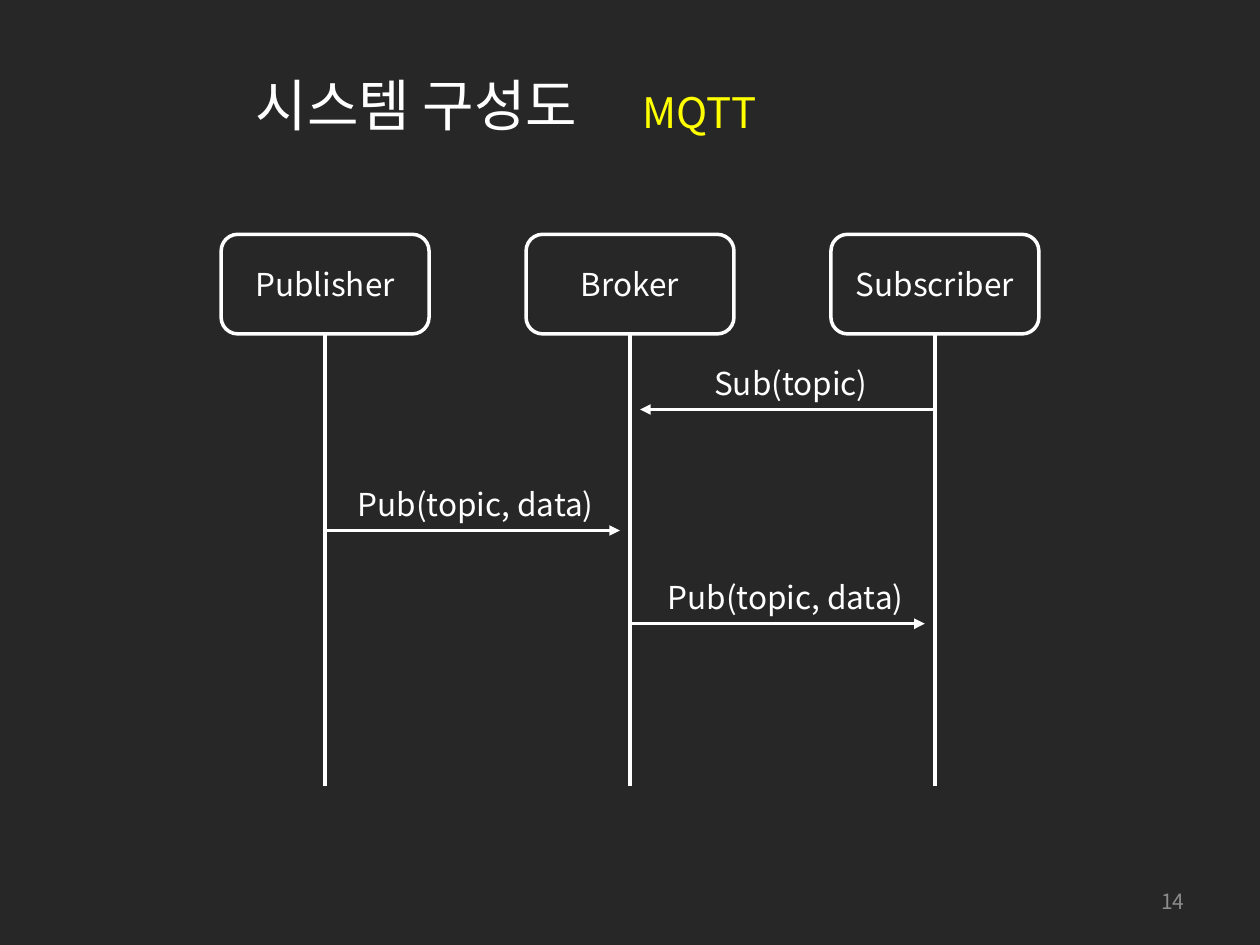
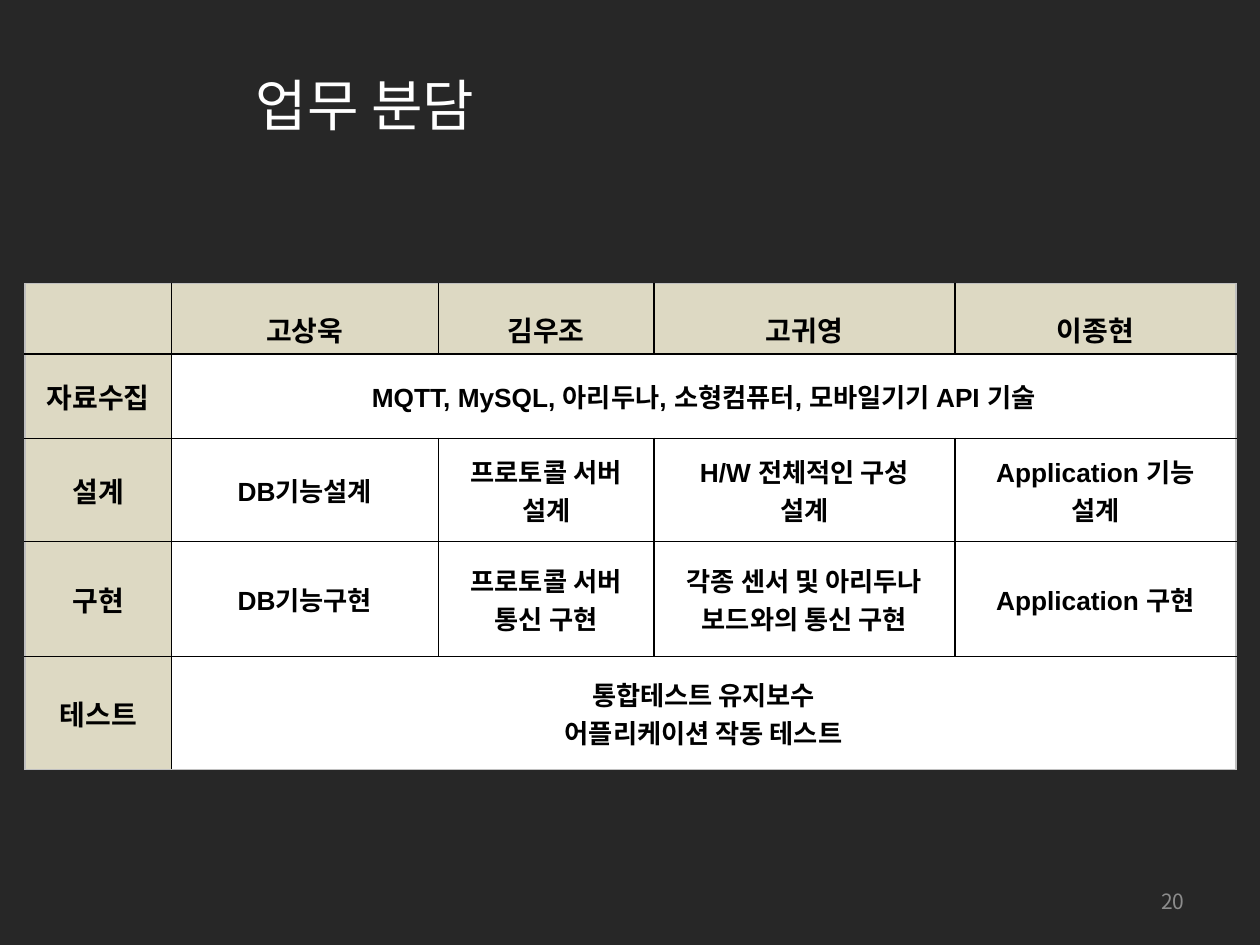
from lxml import etree
from pptx import Presentation
from pptx.dml.color import RGBColor
from pptx.enum.shapes import MSO_CONNECTOR as Connector, MSO_SHAPE as Shape
from pptx.enum.text import MSO_ANCHOR as Anchor, MSO_AUTO_SIZE as AutoSize, PP_ALIGN as Align
from pptx.oxml.ns import qn
from pptx.util import Inches, Pt

# Shared style
WHITE = RGBColor(0xFF, 0xFF, 0xFF)
BLACK = RGBColor(0x00, 0x00, 0x00)
CHARCOAL = RGBColor(0x27, 0x27, 0x27)
YELLOW = RGBColor(0xFF, 0xFF, 0x00)
GREY = RGBColor(0x8C, 0x8C, 0x8C)
EDGE_GREY = RGBColor(0xC0, 0xC0, 0xC0)
BEIGE = RGBColor(0xDD, 0xD9, 0xC3)
KOREAN_FONT = "Noto Sans CJK KR"
TABLE_FONT = "Arial"
COLUMNS, ROWS = 20, 15


class Deck:
    """Holds the style and the current slide; lengths are grid columns and rows."""

    def __init__(self):
        self.deck = Presentation()
        self.deck.slide_width, self.deck.slide_height = Inches(10), Inches(7.5)
        self.page = None

    def x(self, columns):
        return round(self.deck.slide_width * columns / COLUMNS)

    def y(self, rows):
        return round(self.deck.slide_height * rows / ROWS)

    def area(self, left, top, width, height):
        return self.x(left), self.y(top), self.x(width), self.y(height)

    def new_page(self, title, title_width, number):
        self.page = self.deck.slides.add_slide(self.deck.slide_layouts[6])
        fill = self.page.background.fill
        fill.solid()
        fill.fore_color.rgb = CHARCOAL
        self.label(title, 3.86, 1.02, title_width, 1.24, size=32)
        self.page_number(number)

    def add_span(self, para, text, size, color=WHITE, font=KOREAN_FONT, bold=False):
        span = para.add_run()
        span.text = text
        span.font.name, span.font.size, span.font.bold = font, Pt(size), bold
        span.font.color.rgb = color
        east_asian = etree.SubElement(span.font._element, qn("a:ea"))
        east_asian.set("typeface", KOREAN_FONT)

    def label(self, text, left, top, width, height, size=18, color=WHITE):
        box = self.page.shapes.add_textbox(*self.area(left, top, width, height))
        box.text_frame.word_wrap = False
        box.text_frame.auto_size = AutoSize.SHAPE_TO_FIT_TEXT
        self.add_span(box.text_frame.paragraphs[0], text, size, color)

    def page_number(self, number):
        box = self.page.shapes.add_textbox(*self.area(14.34, 13.9, 4.66, 0.8))
        frame = box.text_frame
        frame.word_wrap = True
        frame.vertical_anchor = Anchor.MIDDLE
        frame.paragraphs[0].alignment = Align.RIGHT
        self.add_span(frame.paragraphs[0], str(number), 12, GREY)

    def rounded_box(self, text, left, top, width, height):
        box = self.page.shapes.add_shape(
            Shape.ROUNDED_RECTANGLE, *self.area(left, top, width, height))
        box.shadow.inherit = False
        box.fill.background()
        box.line.color.rgb, box.line.width = WHITE, Pt(2)
        frame = box.text_frame
        frame.word_wrap = True
        frame.vertical_anchor = Anchor.MIDDLE
        frame.paragraphs[0].alignment = Align.CENTER
        self.add_span(frame.paragraphs[0], text, 18)

    def line(self, x1, y1, x2, y2, arrow=False):
        line = self.page.shapes.add_connector(
            Connector.STRAIGHT, self.x(x1), self.y(y1), self.x(x2), self.y(y2))
        line.line.color.rgb, line.line.width = WHITE, Pt(2)
        properties = line._element.spPr
        if arrow:
            etree.SubElement(properties.find(qn("a:ln")), qn("a:tailEnd"), type="triangle")
        etree.SubElement(properties, qn("a:effectLst"))

    def table(self, left, top, widths, heights, rows):
        """Rows hold cell texts; a short row's last cell spans the rest."""
        frame = self.page.shapes.add_table(
            len(heights), len(widths),
            *self.area(left, top, sum(widths), sum(heights)))
        table = frame.table
        table.first_row = table.horz_banding = False
        for column, width in zip(table.columns, widths):
            column.width = self.x(width)
        for row, height in zip(table.rows, heights):
            row.height = self.y(height)
        last_row, last_column = len(heights) - 1, len(widths) - 1
        for r, texts in enumerate(rows):
            for c, text in enumerate(texts):
                cell = table.cell(r, c)
                end = last_column if c == len(texts) - 1 else c
                if end > c:
                    cell.merge(table.cell(r, end))
                self.borders(cell, L=c == 0, R=end == last_column,
                             T=r == 0, B=r == last_row)
                self.fill_cell(cell, text, header=r == 0, side=c == 0)

    def borders(self, cell, **outer_sides):
        properties = cell._tc.get_or_add_tcPr()
        for side, outer in outer_sides.items():
            line = etree.SubElement(properties, qn(f"a:ln{side}"), w=str(Pt(1)))
            fill = etree.SubElement(line, qn("a:solidFill"))
            etree.SubElement(fill, qn("a:srgbClr"), val=str(EDGE_GREY if outer else BLACK))

    def fill_cell(self, cell, text, header, side):
        heading = header or side
        cell.fill.solid()
        cell.fill.fore_color.rgb = BEIGE if heading else WHITE
        cell.vertical_anchor = Anchor.MIDDLE
        cell.margin_left = cell.margin_right = Inches(0.1 if heading else 0.18)
        cell.margin_top = cell.margin_bottom = Inches(0.02)
        if not text:
            return
        for i, words in enumerate(text.split("\n")):
            frame = cell.text_frame
            para = frame.add_paragraph() if i else frame.paragraphs[0]
            para.alignment = Align.CENTER
            if header:
                para.line_spacing = 1.5
            self.add_span(para, words, 16 if heading else 15, BLACK, TABLE_FONT, bold=True)


def sequence_page(deck):
    deck.new_page("시스템 구성도", 6.04, 14)
    deck.label("MQTT", 10, 1.28, 2.24, 0.98, size=24, color=YELLOW)

    # Actors with their lifelines
    middle, pitch = COLUMNS / 2, 4.84
    box_top, box_width, box_height = 3.72, 3.3, 1.58
    actors = ["Publisher", "Broker", "Subscriber"]
    centres = {name: middle + (i - 1) * pitch for i, name in enumerate(actors)}
    for name, centre in centres.items():
        deck.rounded_box(name, centre - box_width / 2, box_top, box_width, box_height)
        deck.line(centre, box_top + box_height, centre, 12.48)

    # Messages: sender, receiver, row, text, label left and width
    messages = [
        ("Subscriber", "Broker", 6.5, "Sub(topic)", 11.14, 2.84),
        ("Publisher", "Broker", 8.42, "Pub(topic, data)", 5.48, 4.22),
        ("Broker", "Subscriber", 9.9, "Pub(topic, data)", 10.4, 4.24),
    ]
    for sender, receiver, row, text, left, width in messages:
        start, end = centres[sender], centres[receiver]
        gap = 0.16 if end > start else -0.16
        deck.line(start, row, end - gap, row, arrow=True)
        deck.label(text, left, row - 0.82, width, 0.8)


def duties_page(deck):
    deck.new_page("업무 분담", 4.26, 20)
    deck.table(
        0.4, 4.5,
        widths=[2.32, 4.24, 3.42, 4.78, 4.46],
        heights=[1.12, 1.34, 1.64, 1.82, 1.8],
        rows=[
            ["", "고상욱", "김우조", "고귀영", "이종현"],
            ["자료수집", "MQTT, MySQL, 아리두나, 소형컴퓨터, 모바일기기 API 기술"],
            ["설계", "DB기능설계", "프로토콜 서버 설계",
             "H/W 전체적인 구성 설계", "Application 기능 설계"],
            ["구현", "DB기능구현", "프로토콜 서버 통신 구현",
             "각종 센서 및 아리두나 보드와의 통신 구현", "Application 구현"],
            ["테스트", "통합테스트 유지보수\n어플리케이션 작동 테스트"],
        ])


def main():
    deck = Deck()
    sequence_page(deck)
    duties_page(deck)
    deck.deck.save("out.pptx")


if __name__ == "__main__":
    main()
